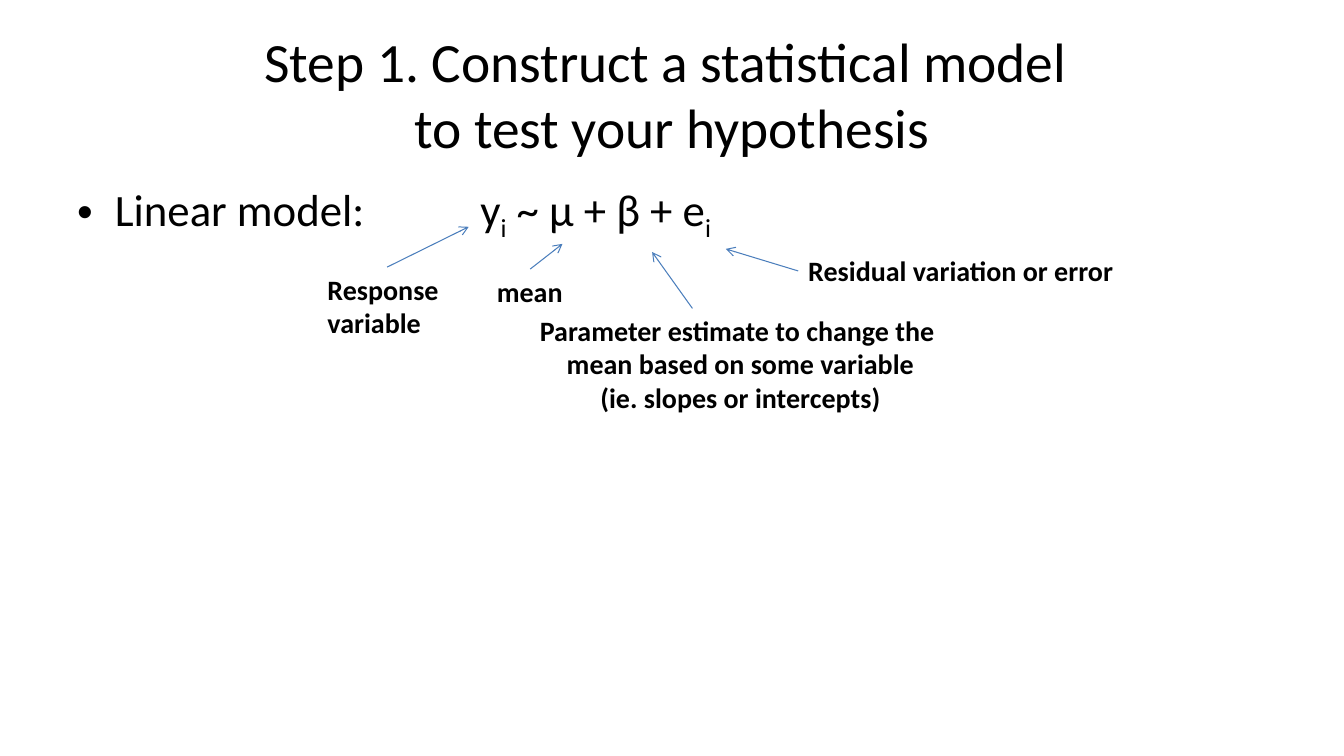
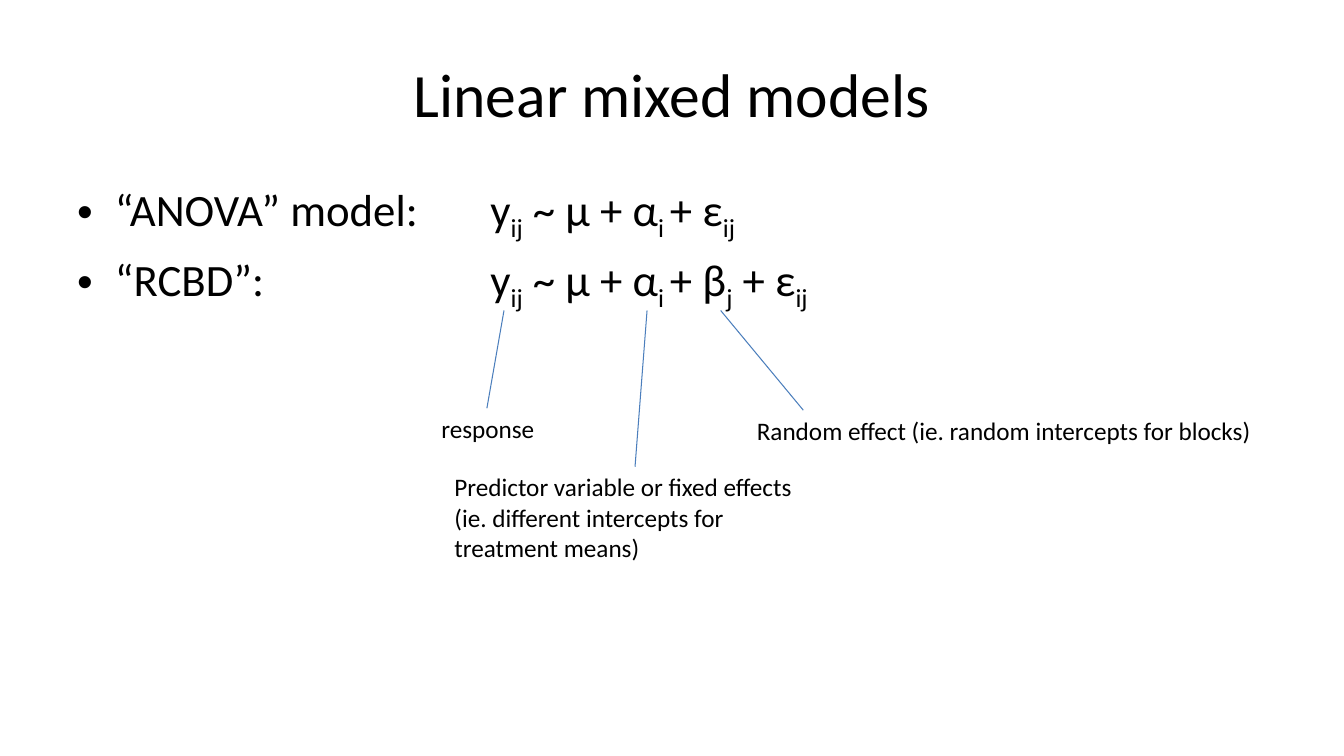
import pptx
import pptx.dml.color
import pptx.enum.shapes
import pptx.enum.text
import pptx.oxml.ns
import pptx.util
from lxml import etree

Pt = pptx.util.Pt
qn = pptx.oxml.ns.qn
ALIGN = pptx.enum.text.PP_ALIGN
ANCHOR = pptx.enum.text.MSO_ANCHOR

BLACK = pptx.dml.color.RGBColor(0x00, 0x00, 0x00)
BLUE = pptx.dml.color.RGBColor(0x4B, 0x7E, 0xBC)
FONT = "Calibri"
TITLE_AREA = (48, 21.6, 864, 90)
BODY_AREA = (48, 126, 864, 356.4)
BODY_SIZE = 32
INDENT = 27
FORMULA_TAB = 288
TOP, LEFT = 0, 1

# Each body line alternates normal text and subscript text.
SLIDES = [
    {
        "title": "Step 1. Construct a statistical model \vto test your hypothesis",
        "title_size": 39.6,
        "body": [["Linear model: \ty", "i", " ~ μ + β + e", "i"]],
        "label_size": 20,
        "bold": True,
        "arrows": True,
        "labels": [
            ("mean", (347.8, 192.2, 61.9, 31.5), ALIGN.LEFT, TOP, (378.7, 192.2), (401.8, 174.2)),
            ("Parameter estimate to change the \vmean based on some variable\n(ie. slopes or intercepts)",
             (377.3, 220.3, 303.1, 80), ALIGN.CENTER, None, (494.6, 220.3), (465.8, 180)),
            ("Residual variation or error", (570.2, 177.8, 234, 31.5), ALIGN.LEFT, LEFT,
             (570.2, 193.7), (518.4, 177.8)),
            ("Response \vvariable", (226.8, 190.8, 99.4, 55.4), ALIGN.LEFT, TOP,
             (276.5, 190.8), (334.8, 162)),
        ],
    },
    {
        "title": "Linear mixed models",
        "title_size": 44,
        "body": [
            ["“ANOVA” model: \t y", "ij", " ~ μ + α", "i ", "+ ε", "ij"],
            ["“RCBD”:\t y", "ij", " ~ μ + α", "i ", "+ β", "j", " + ε", "ij"],
        ],
        "label_size": 18,
        "bold": False,
        "arrows": False,
        "labels": [
            ("response", (308.2, 291.6, 89.3, 29), ALIGN.LEFT, None, (347.8, 291.6), (360, 221.8)),
            ("Predictor variable or fixed effects (ie. different intercepts for treatment means)",
             (317.5, 333.4, 272.2, 72.7), ALIGN.LEFT, TOP, (453.6, 333.4), (462.2, 221.8)),
            ("Random effect (ie. random intercepts for blocks)",
             (533.5, 293, 372.2, 29), ALIGN.LEFT, None, (573.8, 293), (514.8, 221.8)),
        ],
    },
]


def add_text(page, area, text, size, align=ALIGN.LEFT, bold=False):
    box = page.shapes.add_textbox(*map(Pt, area))
    box.text_frame.word_wrap = True
    box.text_frame.text = text
    for para in box.text_frame.paragraphs:
        para.alignment = align
        for span in para.runs:
            style_span(span, size, bold)
    return box


def style_span(span, size, bold=False):
    span.font.name = FONT
    span.font.size = Pt(size)
    span.font.bold = bold
    span.font.color.rgb = BLACK


deck = pptx.Presentation()
deck.slide_width = Pt(960)
deck.slide_height = Pt(540)

for content in SLIDES:
    page = deck.slides.add_slide(deck.slide_layouts[6])
    title = add_text(page, TITLE_AREA, content["title"], content["title_size"], ALIGN.CENTER)
    title.text_frame.vertical_anchor = ANCHOR.MIDDLE

    body = page.shapes.add_textbox(*map(Pt, BODY_AREA))
    body.text_frame.word_wrap = True
    for row, parts in enumerate(content["body"]):
        para = body.text_frame.add_paragraph() if row else body.text_frame.paragraphs[0]
        if row:
            para.space_before = Pt(0.2 * BODY_SIZE)
        properties = para._p.get_or_add_pPr()
        properties.set("marL", str(Pt(INDENT)))
        properties.set("indent", str(-Pt(INDENT)))
        etree.SubElement(properties, qn("a:buFont"), typeface="Arial")
        etree.SubElement(properties, qn("a:buChar"), char="•")
        tabs = etree.SubElement(properties, qn("a:tabLst"))
        etree.SubElement(tabs, qn("a:tab"), pos=str(Pt(FORMULA_TAB)), algn="l")
        for index, part in enumerate(parts):
            span = para.add_run()
            span.text = part
            style_span(span, BODY_SIZE)
            if index % 2:
                span.font._element.set("baseline", "-25000")

    for text, area, align, side, start, end in content["labels"]:
        label = add_text(page, area, text, content["label_size"], align, content["bold"])
        pointer = page.shapes.add_connector(
            pptx.enum.shapes.MSO_CONNECTOR.STRAIGHT, *map(Pt, start + end))
        if side is not None:
            pointer.begin_connect(label, side)
        pointer.line.color.rgb = BLUE
        pointer.line.width = Pt(0.75)
        if content["arrows"]:
            etree.SubElement(pointer.line._get_or_add_ln(), qn("a:tailEnd"), type="arrow")
        etree.SubElement(pointer._element.spPr, qn("a:effectLst"))

deck.save("out.pptx")
